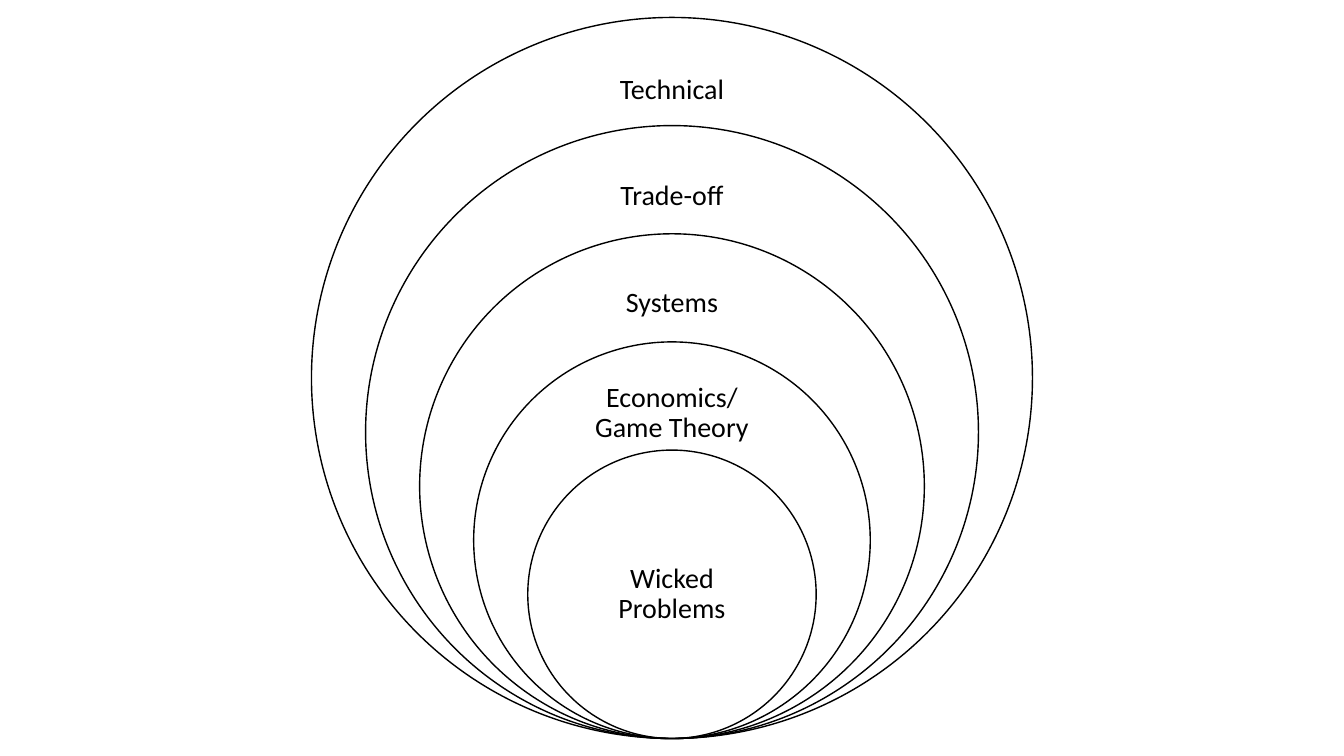
from pptx import Presentation
from pptx.dml.color import RGBColor
from pptx.enum.shapes import MSO_SHAPE as Shape
from pptx.enum.text import MSO_ANCHOR as Anchor, PP_ALIGN as Align
from pptx.util import Cm, Pt

# Outermost first: label, label width and height in cm
LEVELS = [
    ("Technical", 6.81, 1.83),
    ("Trade-off", 6.65, 1.78),
    ("Systems", 6.58, 1.75),
    ("Economics/ Game Theory", 5.38, 1.80),
    ("Wicked Problems", 5.13, 3.63),
]
COLORS = {"line": "000000", "text": "000000"}
FONT = "Calibri"
FONT_SIZE = 20

SLIDE_W, SLIDE_H = 33.87, 19.05
CENTER_X = SLIDE_W / 2
BOTTOM = 18.61
OUTER_DIAMETER = 18.17
SHRINK = 0.15  # share of the outer diameter lost at each level
INSET = 0.4


def add_circle(s, top, diameter):
    c = s.shapes.add_shape(Shape.OVAL, Cm(CENTER_X - diameter / 2), Cm(top),
                           Cm(diameter), Cm(diameter))
    c.shadow.inherit = False
    c.fill.background()
    c.line.color.rgb = RGBColor.from_string(COLORS["line"])
    c.line.width = Pt(1)


def add_label(s, text, top, width, height):
    box = s.shapes.add_textbox(Cm(CENTER_X - width / 2), Cm(top),
                               Cm(width), Cm(height))
    tf = box.text_frame
    tf.word_wrap = True
    tf.vertical_anchor = Anchor.MIDDLE
    tf.margin_left = tf.margin_right = Cm(INSET)
    tf.margin_top = tf.margin_bottom = Cm(INSET)
    p = tf.paragraphs[0]
    p.alignment = Align.CENTER
    p.line_spacing = 0.9
    r = p.add_run()
    r.text = text
    r.font.name = FONT
    r.font.size = Pt(FONT_SIZE)
    r.font.color.rgb = RGBColor.from_string(COLORS["text"])


def main():
    prs = Presentation()
    prs.slide_width, prs.slide_height = Cm(SLIDE_W), Cm(SLIDE_H)
    s = prs.slides.add_slide(prs.slide_layouts[6])
    for i, (text, width, height) in enumerate(LEVELS):
        diameter = OUTER_DIAMETER * (1 - SHRINK * i)
        top = BOTTOM - diameter
        add_circle(s, top, diameter)
        add_label(s, text, top + height / 2, width, height)
    prs.save("out.pptx")


if __name__ == "__main__":
    main()
